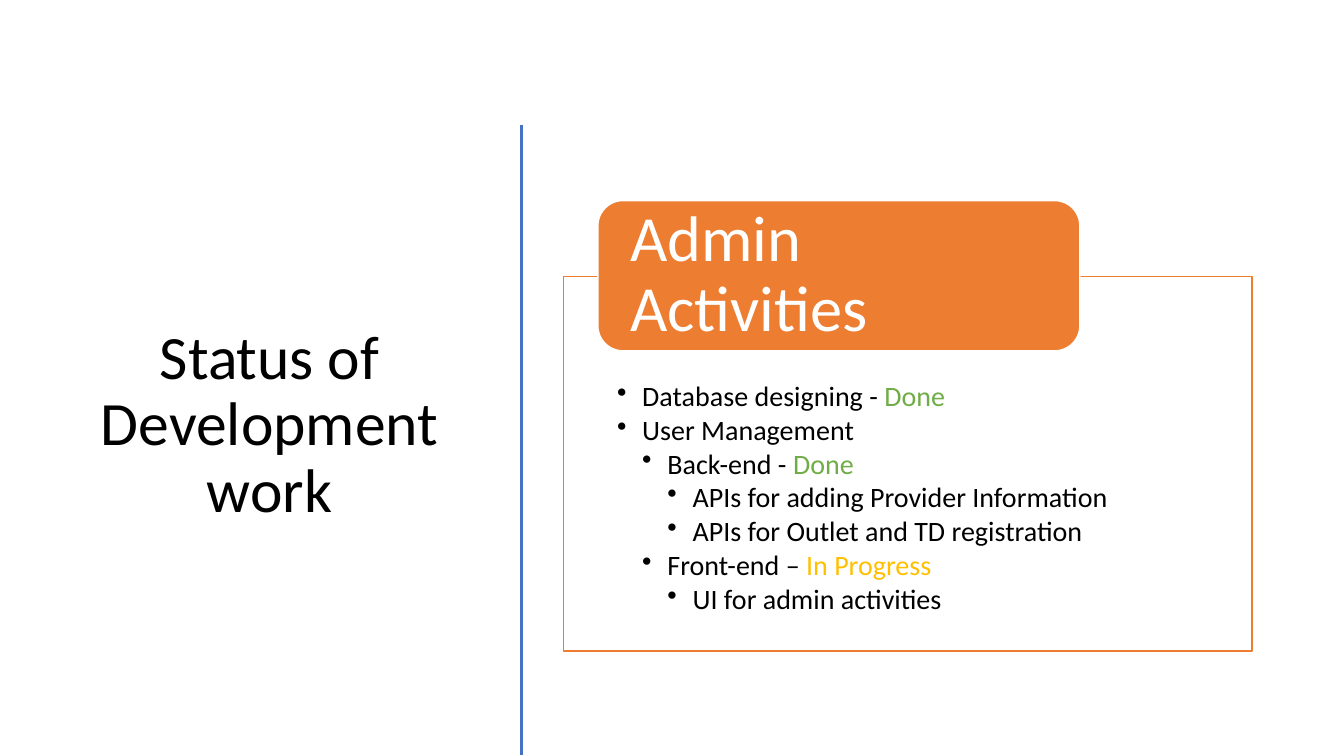
"""Build the development status slide."""
from typing import NamedTuple

from lxml import etree
from pptx import Presentation
from pptx.dml.color import RGBColor
from pptx.enum.shapes import MSO_CONNECTOR, MSO_SHAPE
from pptx.enum.text import MSO_ANCHOR, MSO_AUTO_SIZE, PP_ALIGN
from pptx.oxml.ns import qn
from pptx.util import Inches, Pt

RECT, ROUNDED = MSO_SHAPE.RECTANGLE, MSO_SHAPE.ROUNDED_RECTANGLE
STRAIGHT = MSO_CONNECTOR.STRAIGHT
TOP, MIDDLE = MSO_ANCHOR.TOP, MSO_ANCHOR.MIDDLE
LEFT, CENTER = PP_ALIGN.LEFT, PP_ALIGN.CENTER
NO_FIT = MSO_AUTO_SIZE.NONE

FONT = "Calibri"
BLACK, WHITE, BLUE, ORANGE = "000000", "FFFFFF", "4472C4", "ED7D31"
GREEN, AMBER = "70AD47", "FFC000"
INDENT = 0.25


class Box(NamedTuple):
    kind: int
    area: tuple[float, float, float, float]
    fill: str
    line: str
    margins: tuple[float, float, float, float]
    anchor: int


class Task(NamedTuple):
    level: int
    text: str
    status: str = ""
    color: str = BLACK


PANEL = Box(RECT, (5.59, 2.74, 6.83, 3.72), WHITE, ORANGE,
            (0.53, 1.05, 0.53, 0.16), TOP)
HEADING = Box(ROUNDED, (5.93, 1.99, 4.78, 1.49), ORANGE, WHITE,
              (0.25, 0.07, 0.25, 0.07), MIDDLE)
TASKS = [
    Task(0, "Database designing - ", "Done", GREEN),
    Task(0, "User Management"),
    Task(1, "Back-end - ", "Done", GREEN),
    Task(2, "APIs for adding Provider Information"),
    Task(2, "APIs for Outlet and TD registration"),
    Task(1, "Front-end – ", "In Progress", AMBER),
    Task(2, "UI for admin activities"),
]


def rgb(color: str) -> RGBColor:
    """Convert a hex string to a colour."""
    return RGBColor.from_string(color)


def format_paragraph(p, size: float, color: str, align: int) -> None:
    """Set the font, alignment and line spacing of a paragraph."""
    p.font.name = FONT
    p.font.size = Pt(size)
    p.font.color.rgb = rgb(color)
    p.alignment = align
    p.line_spacing = 0.9


def add_box(s, box: Box):
    """Draw a box and return its text frame."""
    sp = s.shapes.add_shape(box.kind, *map(Inches, box.area))
    sp.shadow.inherit = False
    sp.fill.solid()
    sp.fill.fore_color.rgb = rgb(box.fill)
    sp.line.color.rgb = rgb(box.line)
    sp.line.width = Pt(1)
    tf = sp.text_frame
    tf.word_wrap = True
    tf.vertical_anchor = box.anchor
    (tf.margin_left, tf.margin_top,
     tf.margin_right, tf.margin_bottom) = map(Inches, box.margins)
    return tf


def add_task(p, task: Task) -> None:
    """Write a bulleted task with its coloured status."""
    format_paragraph(p, 20, BLACK, LEFT)
    p.level = task.level
    p.space_after = Pt(2.6)
    pPr = p._p.get_or_add_pPr()
    pPr.set("marL", str(Inches(INDENT * (task.level + 1))))
    pPr.set("indent", str(-Inches(INDENT)))
    bullet = etree.Element(qn("a:buChar"), char="•")
    pPr.find(qn("a:defRPr")).addprevious(bullet)
    for text, color in ((task.text, BLACK), (task.status, task.color)):
        if text:
            r = p.add_run()
            r.text = text
            r.font.name = FONT
            r.font.size = Pt(20)
            r.font.color.rgb = rgb(color)


def add_title(s, text: str) -> None:
    """Place and format the slide title."""
    sp = s.shapes.title
    sp.left, sp.top, sp.width, sp.height = map(Inches, (0.52, 1.17, 4.31, 6.11))
    tf = sp.text_frame
    tf.text = text
    tf.word_wrap = True
    tf.auto_size = NO_FIT
    tf.vertical_anchor = MIDDLE
    format_paragraph(tf.paragraphs[0], 44, BLACK, CENTER)


def add_divider(s) -> None:
    """Draw the vertical line beside the title."""
    line = s.shapes.add_connector(STRAIGHT, *map(Inches, (5.17, 1.24, 5.17, 7.49)))
    line.line.color.rgb = rgb(BLUE)
    line.line.width = Pt(2)
    etree.SubElement(line._element.spPr, qn("a:effectLst"))


def main() -> None:
    """Build and save the slide."""
    prs = Presentation()
    prs.slide_width, prs.slide_height = Inches(13.33), Inches(7.5)
    s = prs.slides.add_slide(prs.slide_layouts[5])
    add_title(s, "Status of Development work")
    add_divider(s)
    tf = add_box(s, PANEL)
    for i, task in enumerate(TASKS):
        add_task(tf.add_paragraph() if i else tf.paragraphs[0], task)
    p = add_box(s, HEADING).paragraphs[0]
    p.text = "Admin Activities"
    format_paragraph(p, 46, WHITE, LEFT)
    prs.save("out.pptx")


main()
